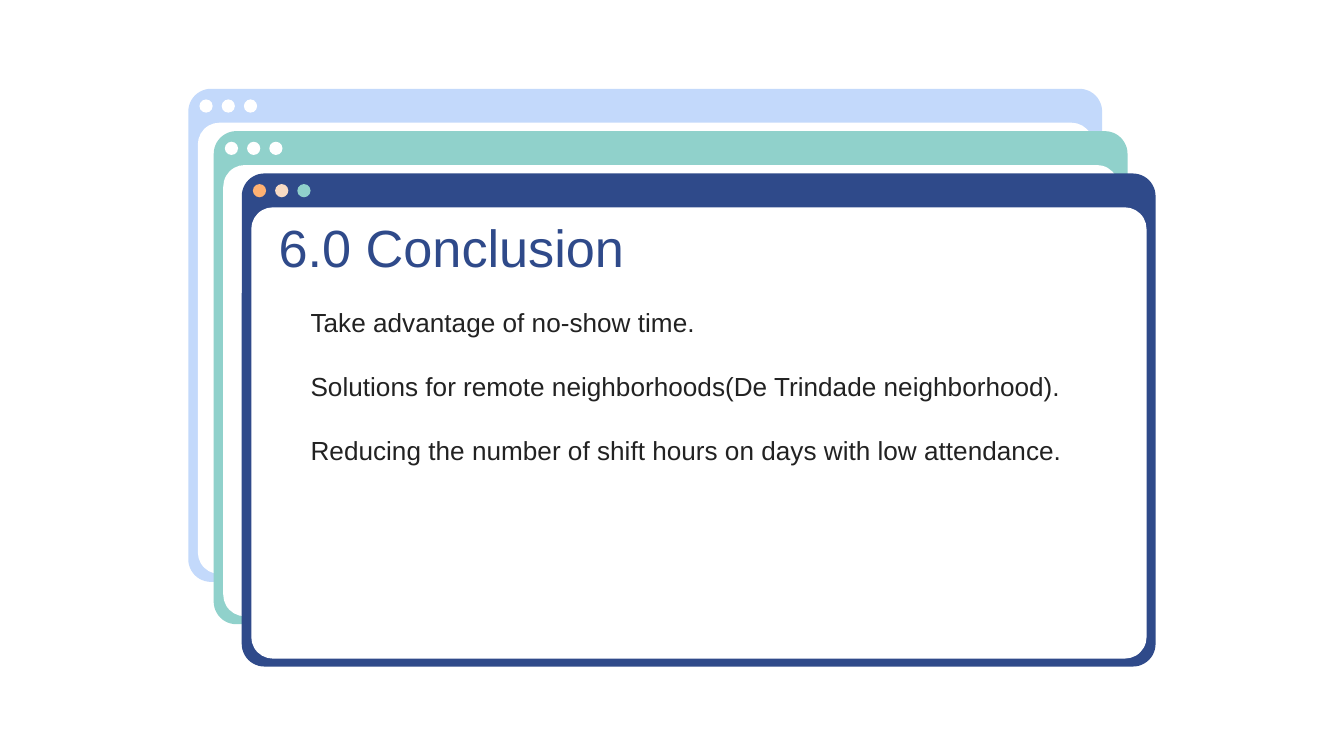
from dataclasses import dataclass

from pptx import Presentation
from pptx import util as u
from pptx.dml.color import RGBColor
from pptx.enum import shapes, text


@dataclass(frozen=True)
class Theme:
    font: str = "Arial"
    title_size: int = 28
    body_size: int = 14
    navy: str = "2F4A8A"
    teal: str = "90D1CB"
    sky: str = "C3D9FB"
    orange: str = "FFB172"
    peach: str = "F8DBC4"
    white: str = "FFFFFF"
    ink: str = "222222"


def write(p, content, *, font, size, color, align=text.PP_ALIGN.LEFT, before=0):
    p.alignment = align
    p.space_before = u.Pt(before)
    r = p.add_run()
    r.text = content
    r.font.name = font
    r.font.size = u.Pt(size)
    r.font.color.rgb = RGBColor.from_string(color)


class Deck:
    def __init__(self, theme):
        self.theme = theme
        self.prs = Presentation()
        self.prs.slide_width, self.prs.slide_height = u.Cm(25.4), u.Cm(14.29)
        self.s = None

    def add_slide(self):
        self.s = self.prs.slides.add_slide(self.prs.slide_layouts[5])

    def shape(self, parent, kind, x, y, w, h, color, radius=None):
        sp = parent.shapes.add_shape(kind, u.Cm(x), u.Cm(y), u.Cm(w), u.Cm(h))
        sp.shadow.inherit = False
        sp.fill.solid()
        sp.fill.fore_color.rgb = RGBColor.from_string(color)
        sp.line.fill.background()
        if radius is not None:
            sp.adjustments[0] = radius

    def window(self, x, y, color, dots):
        """Draw a browser-style frame with a white panel and title-bar dots."""
        grp = self.s.shapes.add_group_shape()
        rounded, oval = shapes.MSO_SHAPE.ROUNDED_RECTANGLE, shapes.MSO_SHAPE.OVAL
        self.shape(grp, rounded, x, y, 17.27, 9.32, color, 0.046)
        self.shape(grp, rounded, x + 0.18, y + 0.64, 16.92, 8.53, self.theme.white, 0.048)
        for i, dot in enumerate(dots):
            self.shape(grp, oval, x + 0.21 + 0.42 * i, y + 0.2, 0.25, 0.25, dot)

    def frame(self, sp, x, y, w, h, anchor):
        sp.left, sp.top, sp.width, sp.height = (u.Cm(v) for v in (x, y, w, h))
        tf = sp.text_frame
        tf.word_wrap = True
        tf.auto_size = text.MSO_AUTO_SIZE.NONE
        tf.vertical_anchor = anchor
        tf.margin_left = tf.margin_right = tf.margin_top = tf.margin_bottom = u.Cm(0.25)
        return tf

    def title(self, content, x, y, w, h):
        sp = self.s.shapes.title
        self.s.shapes.element.append(sp.element)  # bring in front of the windows
        tf = self.frame(sp, x, y, w, h, text.MSO_ANCHOR.BOTTOM)
        write(tf.paragraphs[0], content, font=self.theme.font, size=self.theme.title_size,
              color=self.theme.navy, align=text.PP_ALIGN.CENTER)

    def body(self, lines, x, y, w, h, gap):
        sp = self.s.shapes.add_textbox(0, 0, 0, 0)
        tf = self.frame(sp, x, y, w, h, text.MSO_ANCHOR.TOP)
        for i, line in enumerate(lines):
            p = tf.add_paragraph() if i else tf.paragraphs[0]
            pPr = p._p.get_or_add_pPr()
            pPr.set("marL", str(u.Cm(1.27)))
            pPr.set("indent", str(-u.Cm(0.86)))
            write(p, line, font=self.theme.font, size=self.theme.body_size,
                  color=self.theme.ink, before=gap if i else 0)


def main():
    th = Theme()
    deck = Deck(th)
    deck.add_slide()

    windows = [
        (3.56, th.sky, [th.white] * 3),
        (4.04, th.teal, [th.white] * 3),
        (4.57, th.navy, [th.orange, th.peach, th.teal]),
    ]
    for i, (x, color, dots) in enumerate(windows):
        deck.window(x, 1.68 + 0.8 * i, color, dots)

    deck.title("6.0 Conclusion", 4.9, 3.94, 7.26, 1.57)
    deck.body([
        "Take advantage of no-show time.",
        "Solutions for remote neighborhoods(De Trindade neighborhood).",
        "Reducing the number of shift hours on days with low attendance.",
    ], 5.21, 5.54, 16.28, 6.3, gap=17.6)

    deck.prs.save("out.pptx")


if __name__ == "__main__":
    main()
